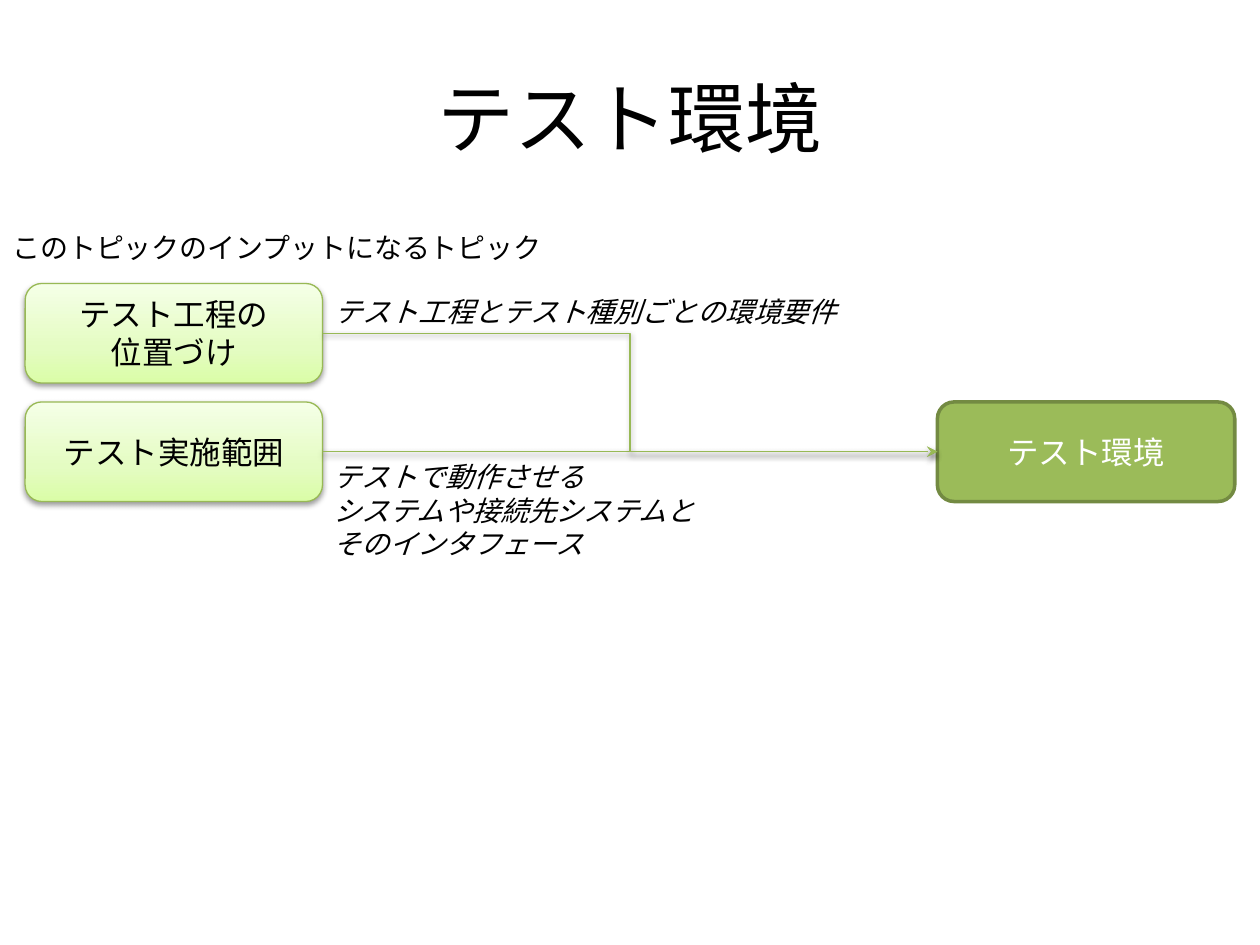
from lxml.etree import SubElement
from pptx import Presentation
from pptx.dml.color import RGBColor
from pptx.enum.shapes import MSO_CONNECTOR, MSO_SHAPE
from pptx.enum.text import MSO_ANCHOR, PP_ALIGN
from pptx.oxml.ns import qn
from pptx.util import Inches, Pt

FONT = "Noto Sans CJK JP"
COLORS = {
    "text": "000000",
    "white": "FFFFFF",
    "topic": "9BBB59",
    "topic_edge": "738A42",
    "edge": "98B955",
}
INPUT_GRADIENT = [(0, "DAFDA7"), (35, "E4FCC2"), (100, "F5FFE7")]
BOX_W, BOX_H = 2.36, 0.79


def write(shape, text, size, color="text", align=PP_ALIGN.LEFT,
          anchor=MSO_ANCHOR.TOP, italic=False):
    """Fill a shape with text, one paragraph per line, and format it."""
    frame = shape.text_frame
    frame.word_wrap = True
    frame.vertical_anchor = anchor
    frame.text = text
    for paragraph in frame.paragraphs:
        paragraph.alignment = align
        for run in paragraph.runs:
            run.font.name = FONT
            run.font.size = Pt(size)
            run.font.italic = italic
            run.font.color.rgb = RGBColor.from_string(COLORS[color])
            SubElement(run.font._element, qn("a:ea"), typeface=FONT)


def add_soft_shadow(properties):
    effects = properties.find(qn("a:effectLst"))
    if effects is None:
        effects = SubElement(properties, qn("a:effectLst"))
    shadow = SubElement(effects, qn("a:outerShdw"), blurRad="40000",
                        dist="20000", dir="5400000", rotWithShape="0")
    black = SubElement(shadow, qn("a:srgbClr"), val="000000")
    SubElement(black, qn("a:alpha"), val="38000")


prs = Presentation()
prs.slide_width, prs.slide_height = Inches(10), Inches(7.5)
slide = prs.slides.add_slide(prs.slide_layouts[6])
shapes = slide.shapes

title = shapes.add_textbox(Inches(0.5), Inches(0.3), Inches(9), Inches(1.25))
write(title, "テスト環境", 44, align=PP_ALIGN.CENTER, anchor=MSO_ANCHOR.MIDDLE)

# Resulting topic
topic = shapes.add_shape(MSO_SHAPE.ROUNDED_RECTANGLE, Inches(7.44), Inches(3.19),
                         Inches(BOX_W), Inches(BOX_H))
topic.shadow.inherit = False
topic.fill.solid()
topic.fill.fore_color.rgb = RGBColor.from_string(COLORS["topic"])
topic.line.color.rgb = RGBColor.from_string(COLORS["topic_edge"])
topic.line.width = Pt(2)
write(topic, "テスト環境", 18, "white", PP_ALIGN.CENTER, MSO_ANCHOR.MIDDLE)

# Input topics, each linked to the resulting topic
for top, name in [(3.19, "テスト実施範囲"), (2.25, "テスト工程の\n位置づけ")]:
    source = shapes.add_shape(MSO_SHAPE.ROUNDED_RECTANGLE, Inches(0.2), Inches(top),
                              Inches(BOX_W), Inches(BOX_H))
    source.shadow.inherit = False
    source.fill.gradient()
    source.fill.gradient_angle = 90
    stops = source._element.spPr.find(".//" + qn("a:gsLst"))
    stops.clear()
    for position, color in INPUT_GRADIENT:
        stop = SubElement(stops, qn("a:gs"), pos=str(position * 1000))
        SubElement(stop, qn("a:srgbClr"), val=color)
    add_soft_shadow(source._element.spPr)
    write(source, name, 18, align=PP_ALIGN.CENTER, anchor=MSO_ANCHOR.MIDDLE)

    link = shapes.add_connector(MSO_CONNECTOR.ELBOW, 0, 0, 0, 0)
    link.begin_connect(source, 3)
    link.end_connect(topic, 1)
    for outlined in (source, link):
        outlined.line.color.rgb = RGBColor.from_string(COLORS["edge"])
        outlined.line.width = Pt(0.75)
    SubElement(link.line._get_or_add_ln(), qn("a:tailEnd"), type="stealth")
    add_soft_shadow(link._element.spPr)

# Heading and link labels
labels = [
    (0, 1.78, 4.57, 0.37, "このトピックのインプットになるトピック", False),
    (2.55, 3.6, 3.24, 0.91,
     "テストで動作させる\nシステムや接続先システムと\nそのインタフェース", True),
    (2.56, 2.29, 4.33, 0.37, "テスト工程とテスト種別ごとの環境要件", True),
]
for left, top, width, height, text, italic in labels:
    label = shapes.add_textbox(Inches(left), Inches(top), Inches(width), Inches(height))
    write(label, text, 16, italic=italic)

prs.save("out.pptx")
